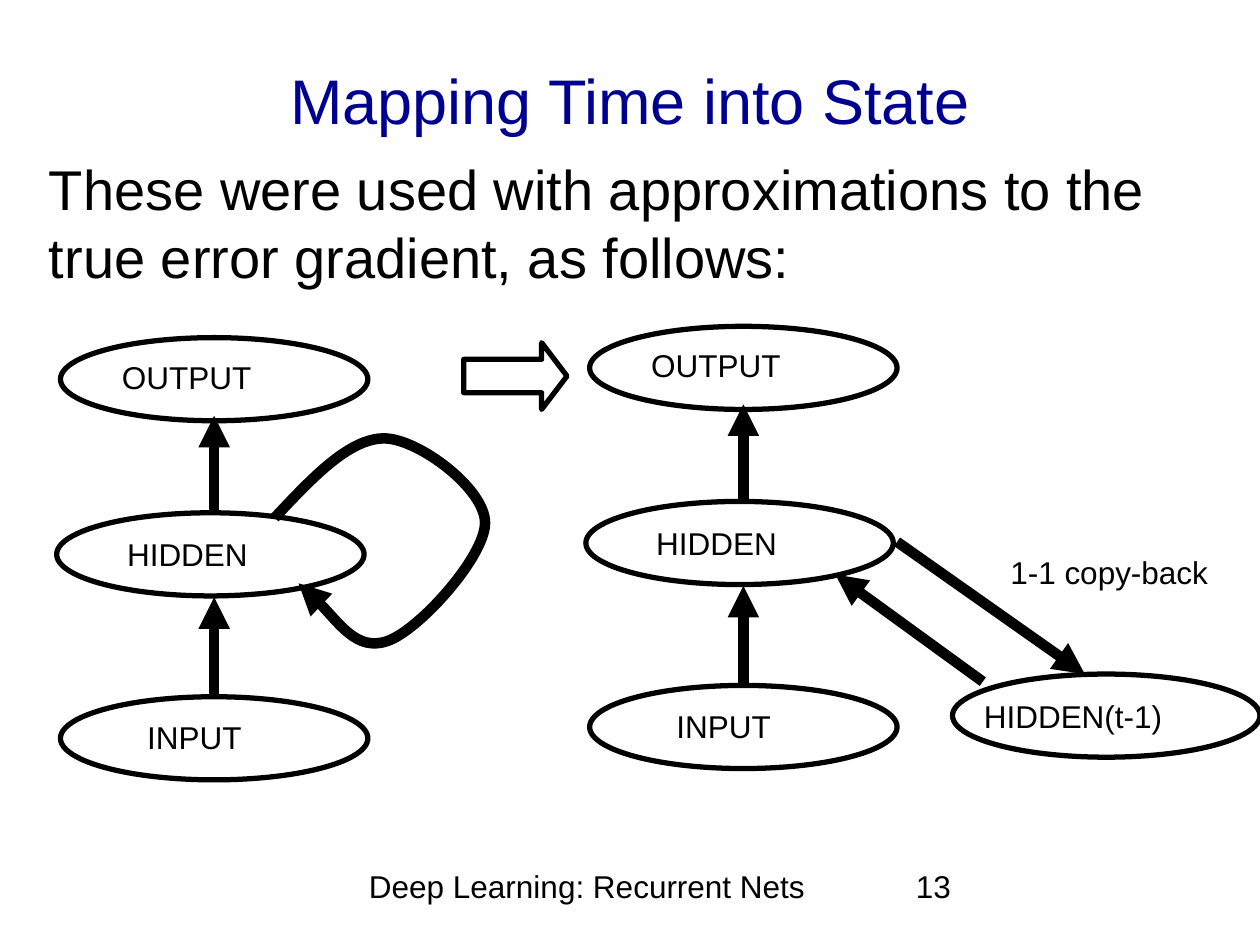
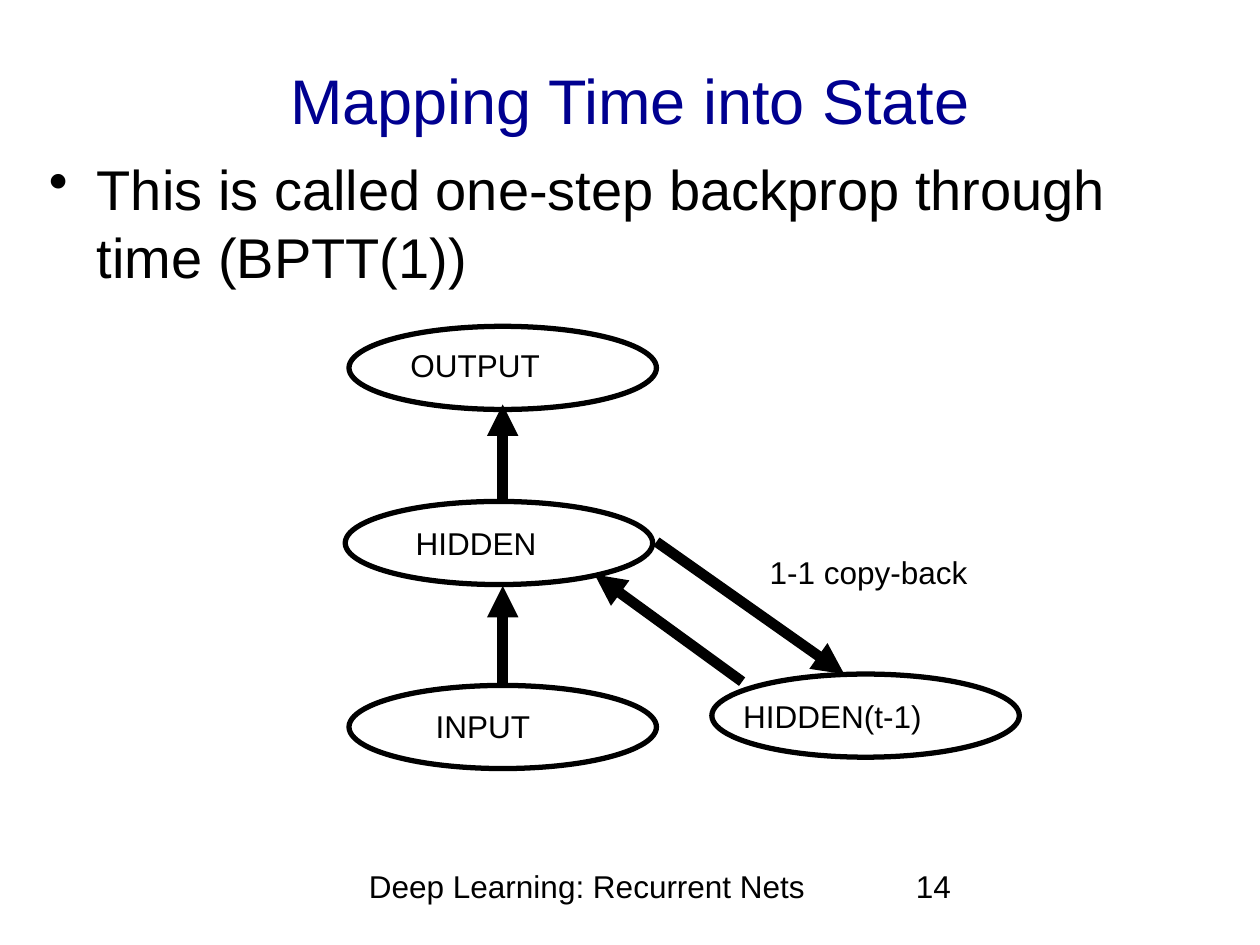
from lxml import etree
from pptx import Presentation
from pptx import util as u
from pptx.dml.color import RGBColor
from pptx.enum import shapes, text
from pptx.oxml.ns import qn

BLACK = RGBColor(0x00, 0x00, 0x00)
NAVY = RGBColor(0x00, 0x00, 0x90)
FONT = "Arial"
OVAL_W, OVAL_H = 2.44, 0.66
STACK_TOP = 2.59

# Layers: name, oval offset (x, y), label offset from the oval (x, y), label width
LAYERS = [
    ("INPUT", 0, 2.85, 0.59, 0.07, 1.25),
    ("HIDDEN", -0.03, 1.39, 0.46, 0.08, 1.58),
    ("OUTPUT", 0, 0, 0.39, 0.06, 1.57),
]
# Feedback loop: a start point, then three Bézier segments of three points each
LOOP = [
    (2.18, 4.11),
    (2.48, 3.79), (2.78, 3.47), (3.06, 3.48),
    (3.33, 3.49), (3.85, 3.88), (3.85, 4.15),
    (3.85, 4.42), (3.32, 5.01), (3.07, 5.09),
    (2.83, 5.17), (2.49, 4.71), (2.37, 4.63),
]


def apply(target, values):
    for name, value in values.items():
        setattr(target, name, value)


class Deck:
    def __init__(self):
        self.prs = Presentation()
        apply(self.prs, {"slide_width": u.Inches(10), "slide_height": u.Inches(7.5)})
        self.s = None

    # Shared frame of every slide
    def slide(self, title, number):
        self.s = self.prs.slides.add_slide(self.prs.slide_layouts[6])
        self.text(title, 0.75, 0.33, 8.5, 0.92, size=36, color=NAVY,
                  anchor=text.MSO_ANCHOR.MIDDLE, align=text.PP_ALIGN.CENTER)
        self.text("Deep Learning: Recurrent Nets", 2.83, 6.83, 3.75, 0.52)
        self.text(str(number), 7.17, 6.83, 2.33, 0.52)

    def text(self, words, x, y, w, h, size=18, color=BLACK,
             anchor=text.MSO_ANCHOR.TOP, align=text.PP_ALIGN.LEFT):
        sp = self.s.shapes.add_textbox(*map(u.Inches, (x, y, w, h)))
        tf = sp.text_frame
        apply(tf, {"word_wrap": True, "vertical_anchor": anchor})
        p = tf.paragraphs[0]
        p.alignment = align
        r = p.add_run()
        r.text = words
        apply(r.font, {"name": FONT, "size": u.Pt(size)})
        r.font.color.rgb = color
        return p

    def body(self, words, bullet=False):
        p = self.text(words, 0.29, 1.18, 9.42, 5.83, size=32)
        p.space_before = u.Pt(6)
        if bullet:
            pPr = p._p.get_or_add_pPr()
            indent = u.Inches(0.38)
            pPr.set("marL", str(indent))
            pPr.set("indent", str(-indent))
            etree.SubElement(pPr, qn("a:buChar"), char="•")

    def outline(self, sp, width):
        sp.shadow.inherit = False
        sp.fill.background()
        sp.line.color.rgb = BLACK
        sp.line.width = u.Pt(width)

    def shape(self, kind, x, y, w, h):
        sp = self.s.shapes.add_shape(kind, *map(u.Inches, (x, y, w, h)))
        self.outline(sp, 3)
        return sp

    def oval(self, label, x, y, dx, dy, label_w):
        self.shape(shapes.MSO_SHAPE.OVAL, x, y, OVAL_W, OVAL_H)
        self.text(label, x + dx, y + dy, label_w, 0.5, anchor=text.MSO_ANCHOR.MIDDLE)

    def arrowhead(self, sp):
        etree.SubElement(sp.line._get_or_add_ln(), qn("a:tailEnd"), type="triangle")

    def arrow(self, x1, y1, x2, y2):
        line = self.s.shapes.add_connector(
            shapes.MSO_CONNECTOR.STRAIGHT, *map(u.Inches, (x1, y1, x2, y2)))
        line.line.color.rgb = BLACK
        line.line.width = u.Pt(6)
        self.arrowhead(line)
        etree.SubElement(line._element.spPr, qn("a:effectLst"))

    def curve(self, points):
        points = [tuple(map(u.Inches, point)) for point in points]
        builder = self.s.shapes.build_freeform(*points[0])
        builder.add_line_segments(points[1:], close=False)
        sp = builder.convert_to_shape()
        self.outline(sp, 6)
        self.arrowhead(sp)
        # Turn each three line steps into one cubic segment
        outline = sp._element.find(".//" + qn("a:path"))
        steps = outline.findall(qn("a:lnTo"))
        for i in range(0, len(steps), 3):
            cubic = etree.SubElement(outline, qn("a:cubicBezTo"))
            for step in steps[i:i + 3]:
                cubic.append(step[0])
                outline.remove(step)

    # Input, hidden and output layers with upward arrows
    def stack(self, x, top=STACK_TOP):
        for name, dx, dy, label_dx, label_dy, label_w in LAYERS:
            self.oval(name, x + dx, top + dy, label_dx, label_dy, label_w)
        middle = x + OVAL_W / 2
        for start, end in ((2.84, 2.06), (1.37, 0.62)):
            self.arrow(middle, top + start, middle, top + end)

    # Layer stack with the hidden state copied back
    def copy_back_net(self, x):
        self.stack(x)
        self.oval("HIDDEN(t-1)", x + 2.88, 5.35, 0.15, 0.08, 2.21)
        self.arrow(x + 3.12, 5.41, x + 1.95, 4.56)
        self.arrow(x + 2.44, 4.3, x + 3.93, 5.35)
        self.text("1-1 copy-back", x + 3.24, 4.34, 1.9, 0.4)


def main():
    deck = Deck()
    title = "Mapping Time into State"

    # Recurrent net and its copy-back form
    deck.slide(title, 13)
    deck.body("These were used with approximations to the true error gradient, as follows:")
    deck.stack(0.48, STACK_TOP + 0.09)
    deck.curve(LOOP)
    becomes = deck.shape(shapes.MSO_SHAPE.RIGHT_ARROW, 3.68, 2.72, 0.82, 0.53)
    becomes.adjustments[0] = 0.5
    becomes.adjustments[1] = 0.38
    deck.copy_back_net(4.68)

    # One-step backprop through time
    deck.slide(title, 14)
    deck.body("This is called one-step backprop through time (BPTT(1))", bullet=True)
    deck.copy_back_net(2.77)

    deck.prs.save("out.pptx")


if __name__ == "__main__":
    main()
